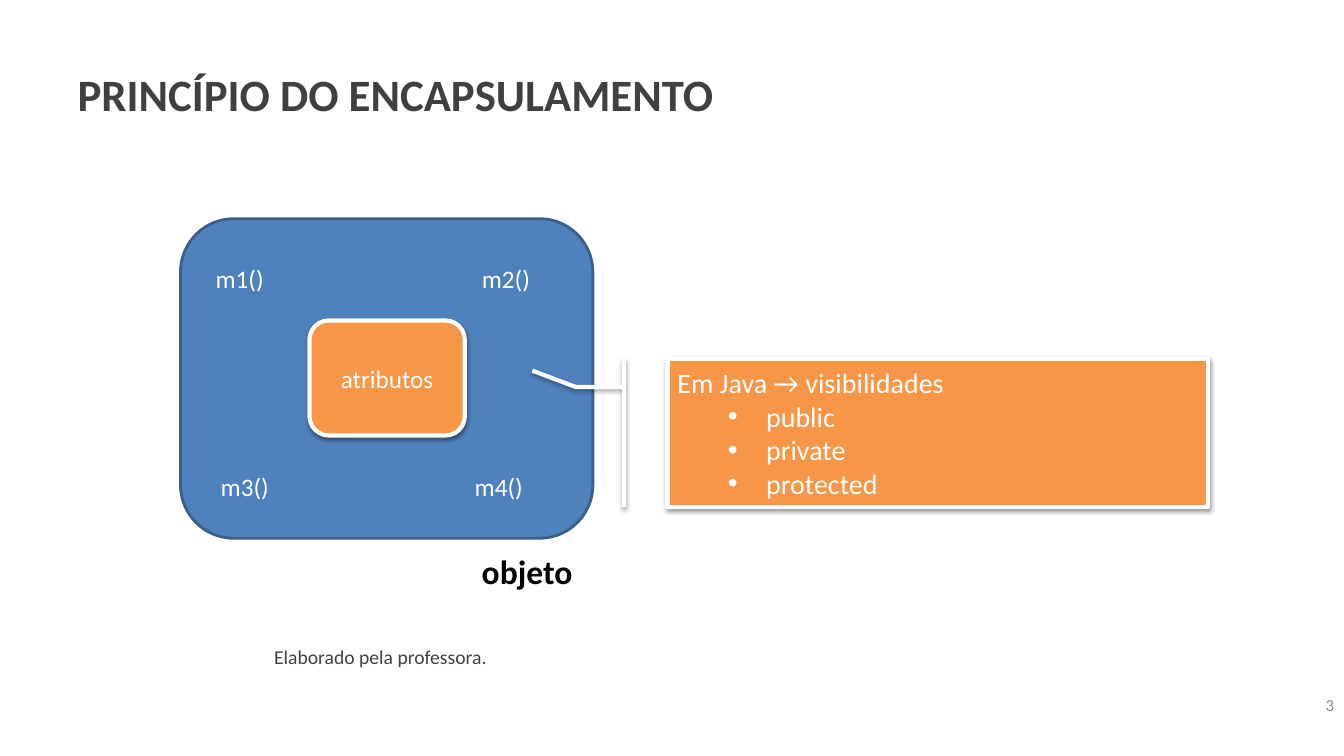
import pptx
import pptx.util
import pptx.dml.color
import pptx.enum.shapes
import pptx.enum.text
import pptx.oxml
import pptx.oxml.ns
import lxml.etree

SHAPES = pptx.enum.shapes.MSO_SHAPE
ALIGN = pptx.enum.text.PP_ALIGN
ANCHOR = pptx.enum.text.MSO_ANCHOR
AUTO_SIZE = pptx.enum.text.MSO_AUTO_SIZE

PX = 9144
FONT = "Calibri"
COLORS = {
    "blue": "4F81BD",
    "navy": "3A5F8C",
    "orange": "F79646",
    "white": "FFFFFF",
    "black": "000000",
    "dark": "404040",
    "gray": "8C8C8C",
}

TITLE = ("PRINCÍPIO DO ENCAPSULAMENTO", (67, 30, 1200, 125))
OBJECT_BOX = (179, 217, 409, 317)
ATTRIBUTES = ("atributos", (307, 318, 154, 114))
METHODS = [
    ("m1()", 204, 256),
    ("m2()", 468, 256),
    ("m3()", 209, 463),
    ("m4()", 461, 463),
]
METHOD_SIZE = (69, 40)
OBJECT_LABEL = ("objeto", (468, 542, 113, 50))
CREDIT = ("Elaborado pela professora.", (262, 635, 233, 34))
PAGE = ("3", (1022, 679, 311, 40))
VISIBILITY_HEADING = "Em Java → visibilidades"
VISIBILITIES = ["public", "private", "protected"]
VISIBILITY_BOX = (662, 356, 536, 147)
POINTER = [0.19, -0.08, 0.19, -0.17, 0.08, -0.25]
BULLET_INDENT = (88, -38)


def rgb(color):
    return pptx.dml.color.RGBColor.from_string(COLORS[color])


def emu(box):
    return [length * PX for length in box]


def add_run(paragraph, text, size, color, bold=False):
    run = paragraph.add_run()
    run.text = text
    run.font.name = FONT
    run.font.size = pptx.util.Pt(size)
    run.font.bold = bold
    run.font.color.rgb = rgb(color)


def add_label(slide, text, box, size, color, bold=False, wrap=False,
              align=ALIGN.LEFT, anchor=ANCHOR.TOP):
    frame = slide.shapes.add_textbox(*emu(box)).text_frame
    frame.word_wrap = wrap
    frame.vertical_anchor = anchor
    frame.paragraphs[0].alignment = align
    add_run(frame.paragraphs[0], text, size, color, bold)


def add_block(slide, preset, box, fill, line, width):
    block = slide.shapes.add_shape(preset, *emu(box))
    block.fill.solid()
    block.fill.fore_color.rgb = rgb(fill)
    block.line.color.rgb = rgb(line)
    block.line.width = pptx.util.Pt(width)
    block.shadow.inherit = False
    block.text_frame.word_wrap = True
    block.text_frame.vertical_anchor = ANCHOR.MIDDLE
    return block


def add_shadow(block):
    effects = block._element.spPr.find(pptx.oxml.ns.qn("a:effectLst"))
    effects.append(pptx.oxml.parse_xml(
        f'<a:outerShdw {pptx.oxml.ns.nsdecls("a")} blurRad="39370" dist="20320" '
        f'dir="5400000" rotWithShape="0"><a:srgbClr val="{COLORS["black"]}">'
        '<a:alpha val="38000"/></a:srgbClr></a:outerShdw>'))


def add_bullet(paragraph):
    left, hanging = emu(BULLET_INDENT)
    properties = paragraph._p.get_or_add_pPr()
    properties.set("marL", str(left))
    properties.set("indent", str(hanging))
    font = lxml.etree.SubElement(properties, pptx.oxml.ns.qn("a:buFont"))
    font.set("typeface", "Arial")
    bullet = lxml.etree.SubElement(properties, pptx.oxml.ns.qn("a:buChar"))
    bullet.set("char", "•")


def add_title(slide):
    text, box = TITLE
    title = slide.shapes.title
    title.left, title.top, title.width, title.height = emu(box)
    frame = title.text_frame
    frame.auto_size = AUTO_SIZE.NONE
    frame.vertical_anchor = ANCHOR.MIDDLE
    frame.paragraphs[0].alignment = ALIGN.LEFT
    add_run(frame.paragraphs[0], text, 32, "dark", True)


def add_object(slide):
    add_block(slide, SHAPES.ROUNDED_RECTANGLE, OBJECT_BOX, "blue", "navy", 2)
    text, box = ATTRIBUTES
    attributes = add_block(slide, SHAPES.ROUNDED_RECTANGLE, box, "orange", "white", 3)
    add_shadow(attributes)
    paragraph = attributes.text_frame.paragraphs[0]
    paragraph.alignment = ALIGN.CENTER
    add_run(paragraph, text, 18, "white")
    for method, left, top in METHODS:
        add_label(slide, method, (left, top, *METHOD_SIZE), 18, "white")
    add_label(slide, *OBJECT_LABEL, 24, "black", bold=True, wrap=True)


def add_visibilities(slide):
    callout = add_block(slide, SHAPES.LINE_CALLOUT_2_BORDER_AND_ACCENT_BAR,
                        VISIBILITY_BOX, "orange", "white", 3)
    add_shadow(callout)
    for index, value in enumerate(POINTER):
        callout.adjustments[index] = value
    frame = callout.text_frame
    heading = frame.paragraphs[0]
    heading.alignment = ALIGN.LEFT
    add_run(heading, VISIBILITY_HEADING, 20, "white")
    for visibility in VISIBILITIES:
        paragraph = frame.add_paragraph()
        paragraph.level = 1
        paragraph.alignment = ALIGN.LEFT
        add_bullet(paragraph)
        add_run(paragraph, visibility, 20, "white")


def main():
    deck = pptx.Presentation()
    deck.slide_width, deck.slide_height = emu((1333, 750))
    slide = deck.slides.add_slide(deck.slide_layouts[5])
    add_title(slide)
    add_label(slide, *PAGE, 12, "gray", wrap=True, align=ALIGN.RIGHT, anchor=ANCHOR.MIDDLE)
    add_object(slide)
    add_label(slide, *CREDIT, 14, "dark")
    add_visibilities(slide)
    deck.save("out.pptx")


if __name__ == "__main__":
    main()
